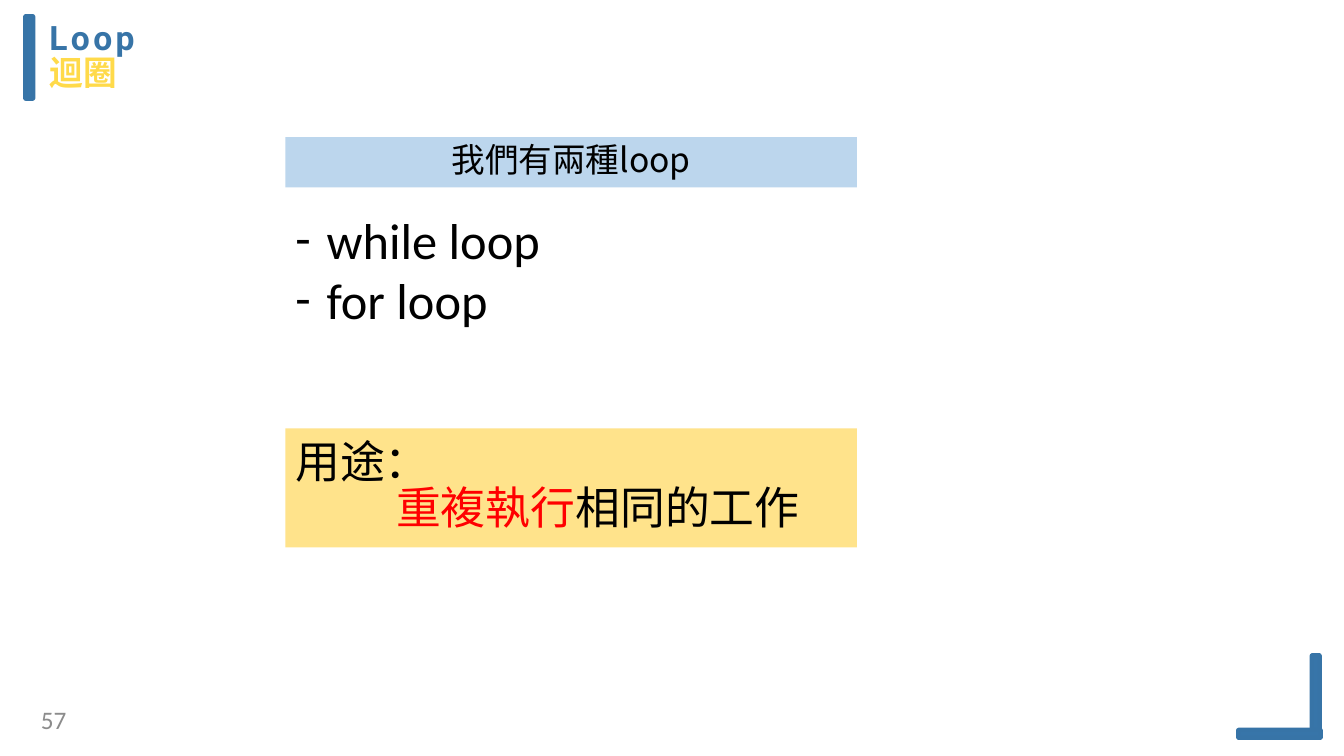
from dataclasses import dataclass

from lxml.etree import SubElement
from pptx import Presentation
from pptx.dml.color import RGBColor
from pptx.enum.shapes import MSO_SHAPE
from pptx.enum.text import MSO_ANCHOR, MSO_AUTO_SIZE, PP_ALIGN
from pptx.oxml.ns import qn
from pptx.util import Inches, Pt

BLUE = RGBColor(0x37, 0x75, 0xA9)
TITLE_BLUE = RGBColor(0x37, 0x74, 0xA7)
TITLE_YELLOW = RGBColor(0xFF, 0xDA, 0x4A)
LIGHT_BLUE = RGBColor(0xBC, 0xD6, 0xED)
LIGHT_YELLOW = RGBColor(0xFF, 0xE3, 0x8B)
BLACK = RGBColor(0, 0, 0)
RED = RGBColor(0xFF, 0, 0)
GRAY = RGBColor(0x8C, 0x8C, 0x8C)
LATIN = "Calibri"
CHINESE = "Noto Sans CJK SC"
CHINESE_LINE_SPACING = 0.84


@dataclass(frozen=True)
class Box:
    left: float
    top: float
    width: float
    height: float

    def lengths(self) -> tuple:
        return tuple(Inches(v) for v in (self.left, self.top, self.width, self.height))


@dataclass(frozen=True)
class TextStyle:
    size: float
    color: RGBColor
    font: str = LATIN
    bold: bool = False
    letter_spacing: float = 0
    align: PP_ALIGN = PP_ALIGN.LEFT
    space_before: float = 0
    line_spacing: float = 1.0


def place(shape, box: Box) -> None:
    shape.left, shape.top, shape.width, shape.height = box.lengths()


def prepare_frame(shape, margins: tuple, anchor=MSO_ANCHOR.TOP):
    frame = shape.text_frame
    frame.word_wrap = True
    frame.auto_size = MSO_AUTO_SIZE.NONE
    frame.vertical_anchor = anchor
    (frame.margin_left, frame.margin_top,
     frame.margin_right, frame.margin_bottom) = (Inches(m) for m in margins)
    return frame


def style_paragraph(paragraph, style: TextStyle) -> None:
    paragraph.alignment = style.align
    paragraph.space_before = Pt(style.space_before)
    paragraph.line_spacing = style.line_spacing
    font = paragraph.font
    font.size, font.bold, font.name = Pt(style.size), style.bold, style.font
    font.color.rgb = style.color
    properties = paragraph._p.pPr.find(qn("a:defRPr"))
    properties.set("spc", str(round(style.letter_spacing * 100)))
    SubElement(properties, qn("a:ea")).set("typeface", style.font)


def indent_paragraph(paragraph, left: float, first_line: float = 0) -> None:
    paragraph._p.pPr.set("marL", str(Inches(left)))
    paragraph._p.pPr.set("indent", str(Inches(first_line)))


def add_dash(paragraph, color: RGBColor) -> None:
    properties = paragraph._p.pPr
    bullet_color = SubElement(properties, qn("a:buClr"))
    SubElement(bullet_color, qn("a:srgbClr")).set("val", str(color))
    bullet_font = SubElement(properties, qn("a:buFont"))
    bullet_font.set("typeface", LATIN)
    bullet = SubElement(properties, qn("a:buChar"))
    bullet.set("char", "-")
    for element in (bullet_color, bullet_font, bullet):
        properties.find(qn("a:defRPr")).addprevious(element)


def add_bar(slide, box: Box) -> None:
    bar = slide.shapes.add_shape(MSO_SHAPE.ROUNDED_RECTANGLE, *box.lengths())
    bar.adjustments[0] = 0.1
    bar.shadow.inherit = False
    bar.fill.solid()
    bar.fill.fore_color.rgb = BLUE
    bar.line.color.rgb = TITLE_BLUE
    bar.line.width = Pt(3)


def add_panel(slide, box: Box, color: RGBColor):
    panel = slide.shapes.add_shape(MSO_SHAPE.RECTANGLE, *box.lengths())
    panel.shadow.inherit = False
    panel.fill.solid()
    panel.fill.fore_color.rgb = color
    panel.line.fill.background()
    return prepare_frame(panel, (0.1, 0.05, 0.1, 0.05), MSO_ANCHOR.MIDDLE)


def main() -> None:
    presentation = Presentation()
    presentation.slide_width, presentation.slide_height = Inches(13.33), Inches(7.5)
    slide = presentation.slides.add_slide(presentation.slide_layouts[1])

    # Title in two languages
    title = slide.shapes.title
    place(title, Box(0.48, 0.16, 4.52, 0.84))
    frame = prepare_frame(title, (0, 0.01, 0, 0))
    frame.text = "Loop\n迴圈"
    english, chinese = frame.paragraphs
    style_paragraph(english, TextStyle(24, TITLE_BLUE, "Roboto", True, 2.4, space_before=1))
    style_paragraph(chinese, TextStyle(24, TITLE_YELLOW, CHINESE, True, 0.6, space_before=1,
                                       line_spacing=CHINESE_LINE_SPACING))
    for paragraph in frame.paragraphs:
        indent_paragraph(paragraph, 0.01)

    # Bars beside the title and in the bottom corner
    for box in (Box(0.25, 0.16, 0.08, 0.82),
                Box(13.01, 6.5, 0.08, 0.82),
                Box(12.28, 7.24, 0.82, 0.08)):
        add_bar(slide, box)

    # Slide number
    number = slide.shapes.add_textbox(*Box(0.08, 6.99, 0.58, 0.3).lengths())
    frame = prepare_frame(number, (0, 0, 0, 0))
    frame.text = "57"
    style_paragraph(frame.paragraphs[0], TextStyle(18, GRAY, align=PP_ALIGN.RIGHT))

    # Kinds of loop
    kinds = slide.placeholders[1]
    place(kinds, Box(2.83, 2.02, 4.49, 1.31))
    frame = prepare_frame(kinds, (0.1, 0.05, 0.1, 0.05))
    frame.text = "while loop\nfor loop"
    for paragraph in frame.paragraphs:
        style_paragraph(paragraph, TextStyle(36, BLACK))
        indent_paragraph(paragraph, 0.31, -0.31)
        add_dash(paragraph, BLACK)

    # Purpose panel
    frame = add_panel(slide, Box(2.83, 4.25, 5.67, 1.18), LIGHT_YELLOW)
    frame.text = "用途："
    purpose = frame.add_paragraph()
    purpose.add_run().text = "重複執行"
    purpose.add_run().text = "相同的工作"
    for paragraph in frame.paragraphs:
        style_paragraph(paragraph, TextStyle(32, BLACK, CHINESE,
                                             line_spacing=CHINESE_LINE_SPACING))
    indent_paragraph(purpose, 1)
    purpose.runs[0].font.color.rgb = RED

    # Heading panel
    frame = add_panel(slide, Box(2.83, 1.36, 5.67, 0.5), LIGHT_BLUE)
    frame.text = "我們有兩種loop"
    style_paragraph(frame.paragraphs[0], TextStyle(24, BLACK, CHINESE, align=PP_ALIGN.CENTER,
                                                   line_spacing=CHINESE_LINE_SPACING))

    presentation.save("out.pptx")


if __name__ == "__main__":
    main()
